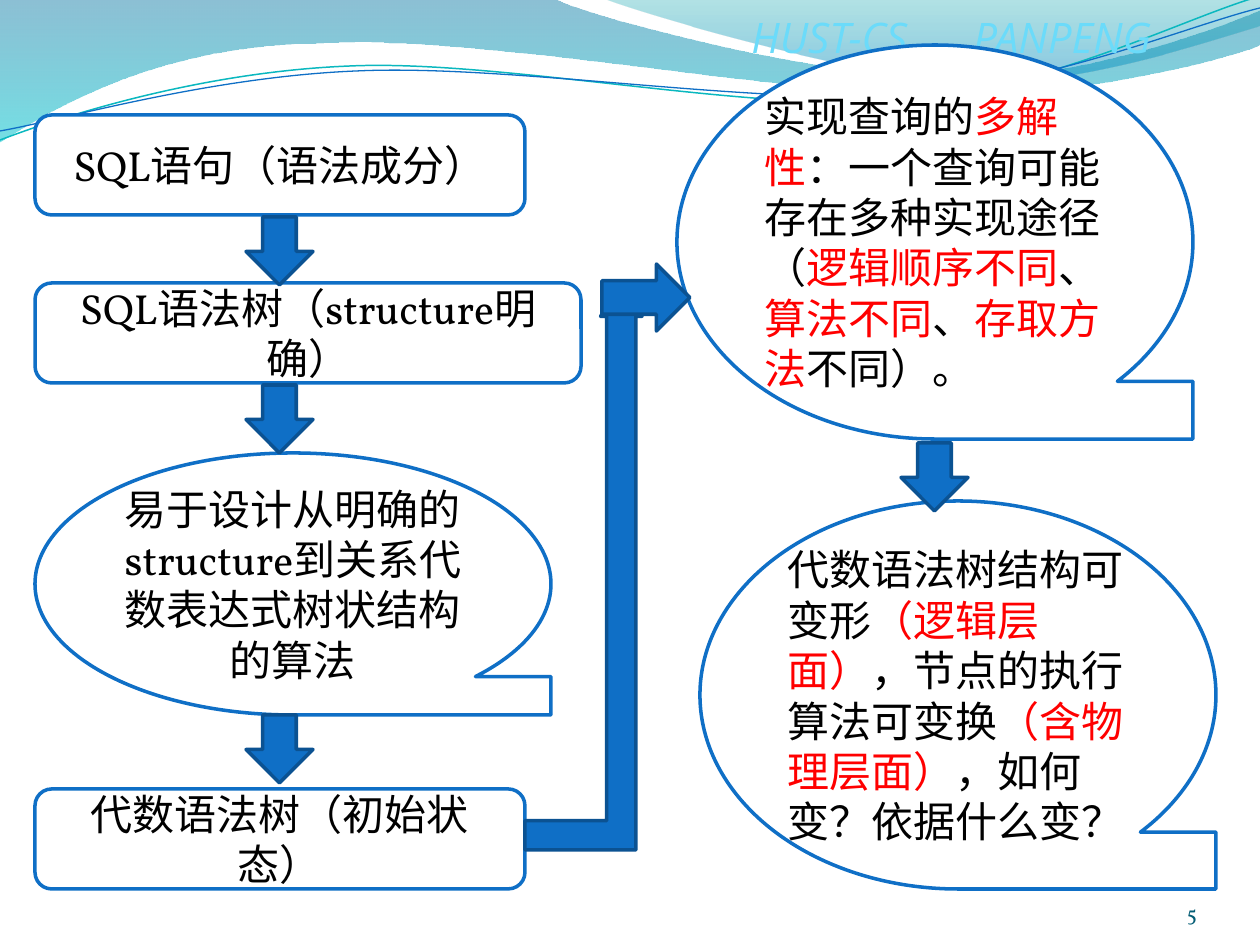
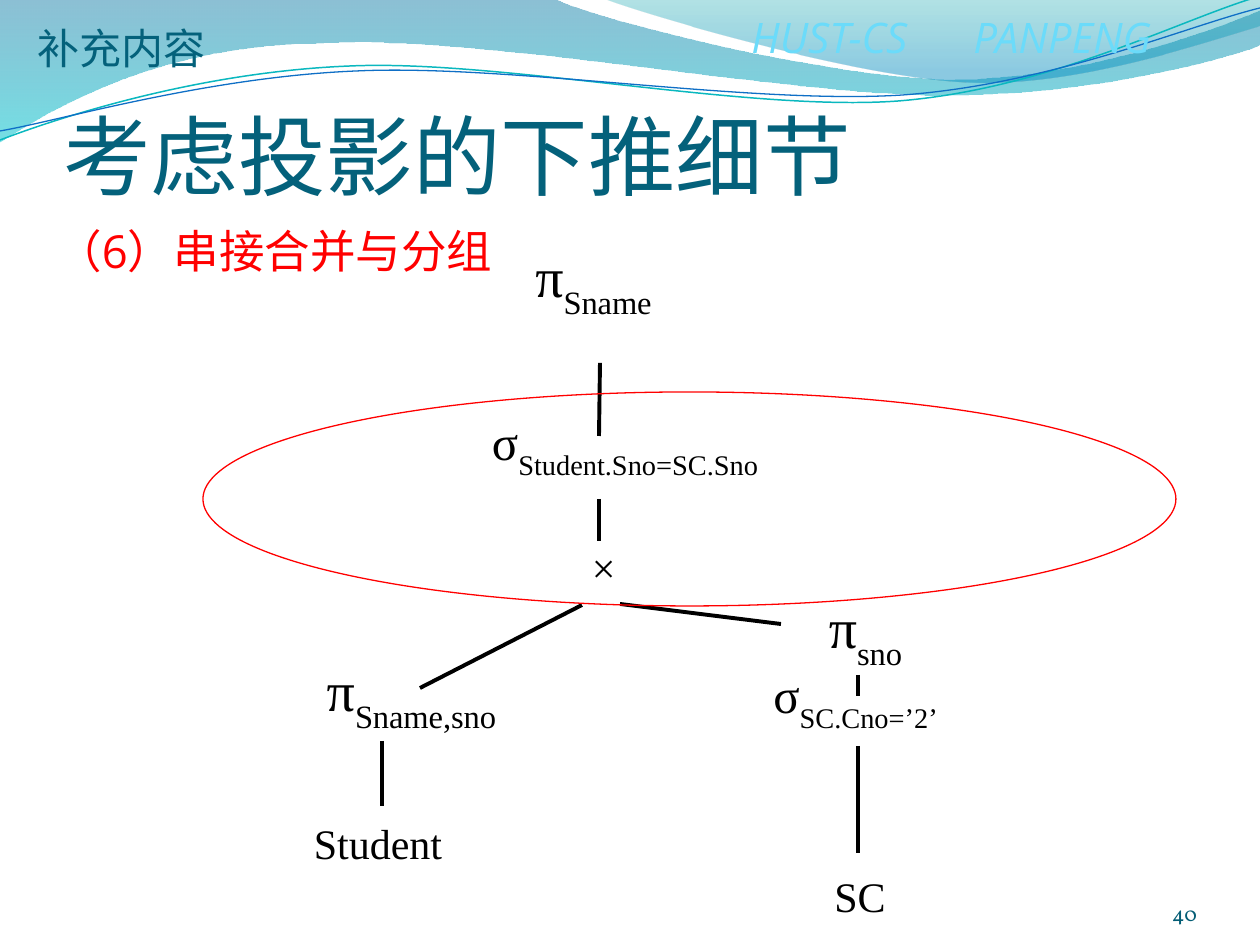
from lxml import etree
from pptx import Presentation
from pptx.dml.color import RGBColor
from pptx.enum.shapes import MSO_CONNECTOR, MSO_SHAPE
from pptx.enum.text import MSO_ANCHOR, MSO_AUTO_SIZE, PP_ALIGN
from pptx.oxml.ns import qn
from pptx.util import Emu, Pt

PX = 914400 / 126
LEFT, CENTER, RIGHT = PP_ALIGN.LEFT, PP_ALIGN.CENTER, PP_ALIGN.RIGHT
TOP, MIDDLE, BOTTOM = MSO_ANCHOR.TOP, MSO_ANCHOR.MIDDLE, MSO_ANCHOR.BOTTOM
STRAIGHT = MSO_CONNECTOR.STRAIGHT
OVAL = MSO_SHAPE.OVAL
ROUNDED = MSO_SHAPE.ROUNDED_RECTANGLE
TAPE = MSO_SHAPE.FLOWCHART_SEQUENTIAL_ACCESS_STORAGE
DOWN, BENT, ACROSS = MSO_SHAPE.DOWN_ARROW, MSO_SHAPE.BENT_UP_ARROW, MSO_SHAPE.RIGHT_ARROW

BLACK, WHITE, RED = "000000", "FFFFFF", "FF0000"
BLUE, DARK_BLUE, TEAL = "0F6FC6", "0B5292", "04617B"
SERIF, SANS, CHINESE, TREE_FONT = "Vollkorn", "Open Sans", "Noto Sans CJK SC", "Times New Roman"
rgb = RGBColor.from_string


def px(*lengths):
    return [Emu(round(length * PX)) for length in lengths]


def write(box, spans, font, size, color=BLACK, align=LEFT, anchor=TOP, wrap=True):
    """Fill a box with one paragraph of (text, colour or None) spans."""
    frame = box.text_frame
    frame.word_wrap = wrap
    frame.auto_size = MSO_AUTO_SIZE.NONE
    frame.vertical_anchor = anchor
    para = frame.paragraphs[0]
    para.alignment = align
    para.font.name, para.font.size = font, Pt(size)
    para.font.color.rgb = rgb(color)
    para._p.pPr.set("hangingPunct", "0")
    etree.SubElement(para.font._element, qn("a:ea"), typeface=CHINESE)
    for text, span_color in spans:
        span = para.add_run()
        span.text = text
        if span_color:
            span.font.color.rgb = rgb(span_color)
    return para


deck = Presentation()
deck.slide_width, deck.slide_height = px(1260, 945)
flow_page = deck.slides.add_slide(deck.slide_layouts[6])
tree_page = deck.slides.add_slide(deck.slide_layouts[5])

# Shared header: waves of straight (one point) and cubic (three points) segments.
# Gradient stops are position, colour, opacity in percent.
waves = [
    ((0, -1), [[(554, -1)],
     [(600, 21), (837, 79), (955, 79)], [(1075, 79), (1207, 33), (1260, 11)],
     [(1261, 45)],
     [(1239, 55), (1096, 96), (940, 95)], [(784, 95), (481, 35), (324, 43)],
     [(163, 44), (58, 105), (-1, 142)]],
     [(0, "0074A1", 45), (1, "00C6CF", 55)], None),
    ((604, -1), [[(641, 14), (859, 78), (969, 82)],
     [(1077, 87), (1211, 40), (1260, 26)], [(1260, 0)]],
     [(0, "00A1A9", 30), (0.8, "008BBF", 45)], None),
    ((0, 140), [[(60, 117), (199, 72), (349, 66)],
     [(498, 59), (747, 112), (898, 101)], [(1049, 89), (1182, 19), (1257, -3)]],
     None, ("0AB8BF", 0.85)),
    ((0, 131), [[(59, 121), (207, 77), (357, 71)],
     [(508, 64), (752, 105), (903, 95)], [(1053, 84), (1187, 26), (1260, 8)]],
     None, (BLUE, 0.75)),
]
header = []
for start, segments, stops, stroke in waves:
    builder = flow_page.shapes.build_freeform(*start, scale=PX)
    builder.add_line_segments(sum(segments, []), close=stops is not None)
    wave = builder.convert_to_shape()
    # Join each run of three line points into one cubic curve.
    line_steps = iter(list(wave._element.iter(qn("a:lnTo"))))
    for segment in segments:
        group = [next(line_steps) for point in segment]
        if len(group) == 3:
            curve = etree.Element(qn("a:cubicBezTo"))
            group[0].addprevious(curve)
            for line_step in group:
                curve.append(line_step[0])
                line_step.getparent().remove(line_step)
    wave.shadow.inherit = False
    if stops:
        wave.fill.gradient()
        wave.fill.gradient_angle = 270
        for stop, (position, color, opacity) in zip(wave.fill.gradient_stops, stops):
            stop.position = position
            stop.color.rgb = rgb(color)
        tints = wave._element.spPr.iter(qn("a:srgbClr"))
        for tint, (position, color, opacity) in zip(tints, stops):
            etree.SubElement(tint, qn("a:alpha"), val=str(opacity * 1000))
        wave.line.fill.background()
    else:
        wave.fill.background()
        wave.line.color.rgb = rgb(stroke[0])
        wave.line.width = Pt(stroke[1])
    header.append(wave)

author = flow_page.shapes.add_textbox(*px(739, 5, 510, 63))
para = write(author, [("HUST-CS\tPANPENG", None)], SANS, 24, "6BDBFA")
para.font.italic = True
tabs = etree.Element(qn("a:tabLst"))
etree.SubElement(tabs, qn("a:tab"), pos=str(px(222)[0]), algn="l")
para._p.pPr.insert(0, tabs)
header.append(author)

# The header belongs to the master, behind everything on the pages.
for index, item in enumerate(header):
    item._element.nvSpPr.cNvPr.set("id", str(100 + index))
    deck.slide_master.shapes._spTree.insert(2 + index, item._element)

for page, number in [(flow_page, "5"), (tree_page, "40")]:
    box = page.shapes.add_textbox(*px(1092, 876, 105, 50))
    write(box, [(number, None)], SERIF, 12, "045D75", RIGHT, BOTTOM)
    frame = box.text_frame
    frame.margin_left = frame.margin_right = frame.margin_top = frame.margin_bottom = 0

# Page 1: from SQL statement to algebra tree
steps = [
    (ROUNDED, (35, 115, 490, 100), SERIF, CENTER, [("SQL语句（语法成分）", None)]),
    (ROUNDED, (35, 283, 546, 100), SERIF, CENTER, [("SQL语法树（structure明确）", None)]),
    (TAPE, (35, 453, 516, 262), SERIF, CENTER,
     [("易于设计从明确的structure到关系代数表达式树状结构的算法", None)]),
    (ROUNDED, (35, 789, 490, 100), SERIF, CENTER, [("代数语法树（初始状态）", None)]),
    (TAPE, (677, 45, 516, 394), CHINESE, LEFT,
     [("实现查询的", None), ("多解性", RED), ("：一个查询可能存在多种实现途径（", None),
      ("逻辑顺序不同", RED), ("、", None), ("算法不同", RED), ("、", None),
      ("存取方法", RED), ("不同）。", None)]),
    (TAPE, (700, 501, 516, 388), CHINESE, LEFT,
     [("代数语法树结构可变形", None), ("（逻辑层面）", RED), ("，节点的执行算法可变换", None),
      ("（含物理层面）", RED), ("，如何变？依据什么变？", None)]),
]
arrows = [(DOWN, (left, top, 67, 68), [])
          for left, top in [(246, 217), (246, 385), (246, 715), (901, 443)]]
arrows += [(BENT, (525, 285, 117, 565), [0.25, 0.177, 0.268]),
           (ACROSS, (602, 264, 88, 67), [])]

for kind, place, font, align, spans in steps:
    step_box = flow_page.shapes.add_shape(kind, *px(*place))
    step_box.shadow.inherit = False
    step_box.fill.solid()
    step_box.fill.fore_color.rgb = rgb(WHITE)
    step_box.line.color.rgb = rgb(BLUE)
    step_box.line.width = Pt(2)
    write(step_box, spans, font, 24, align=align, anchor=MIDDLE)

for kind, place, adjustments in arrows:
    arrow = flow_page.shapes.add_shape(kind, *px(*place))
    arrow.shadow.inherit = False
    arrow.fill.solid()
    arrow.fill.fore_color.rgb = rgb(BLUE)
    arrow.line.color.rgb = rgb(DARK_BLUE)
    arrow.line.width = Pt(2)
    for index, value in enumerate(adjustments):
        arrow.adjustments[index] = value

# Page 2: query tree with pushed-down projections
title = tree_page.shapes.title
title.left, title.top, title.width, title.height = px(63, 97, 1134, 110)
write(title, [("考虑投影的下推细节", None)], "Calibri", 50, TEAL, anchor=BOTTOM)
title.text_frame.margin_left = title.text_frame.margin_right = 0
title.text_frame.margin_bottom = 0

subtitle = tree_page.shapes.add_textbox(*px(44, 217, 1134, 67))
write(subtitle, [("（6）串接合并与分组", None)], SANS, 26, RED)

# Place, operator or relation, subscript, size
nodes = [
    ((503, 234, 189, 95), "π", "Sname ", 32),
    ((711, 668, 294, 63), "σ", "SC.Cno=’2’ ", 28),
    ((450, 404, 357, 84), "σ", "Student.Sno=SC.Sno ", 28),
    ((546, 530, 126, 73), "× ", "", 24),
    ((315, 806, 126, 73), "Student", "", 24),
    ((781, 854, 158, 84), "SC", "", 24),
    ((321, 648, 189, 95), "π", "Sname,sno ", 32),
    ((768, 621, 203, 23), "π", "sno ", 32),
]
for place, symbol, subscript, size in nodes:
    node = tree_page.shapes.add_textbox(*px(*place))
    spans = [(text, None) for text in (symbol, subscript) if text]
    para = write(node, spans, TREE_FONT, size, align=CENTER, anchor=MIDDLE, wrap=False)
    for span in para.runs[1:]:
        span.font._element.set("baseline", "-30000")

branches = [
    (600, 363, 599, 436), (599, 499, 599, 541), (582, 605, 420, 688),
    (620, 604, 781, 624), (858, 675, 858, 696), (858, 746, 858, 853),
    (382, 741, 382, 806),
]
for ends in branches:
    branch = tree_page.shapes.add_connector(STRAIGHT, *px(*ends))
    branch.line.color.rgb = rgb(BLACK)
    branch.line.width = Pt(2.25)
    etree.SubElement(branch._element.spPr, qn("a:effectLst"))

group_ring = tree_page.shapes.add_shape(OVAL, *px(203, 392, 973, 214))
group_ring.shadow.inherit = False
group_ring.fill.background()
group_ring.line.color.rgb = rgb(RED)
group_ring.line.width = Pt(0.75)

remark = tree_page.shapes.add_textbox(*px(25, 16, 195, 63))
write(remark, [("补充内容", None)], CHINESE, 24, TEAL, wrap=False)

deck.save("out.pptx")
